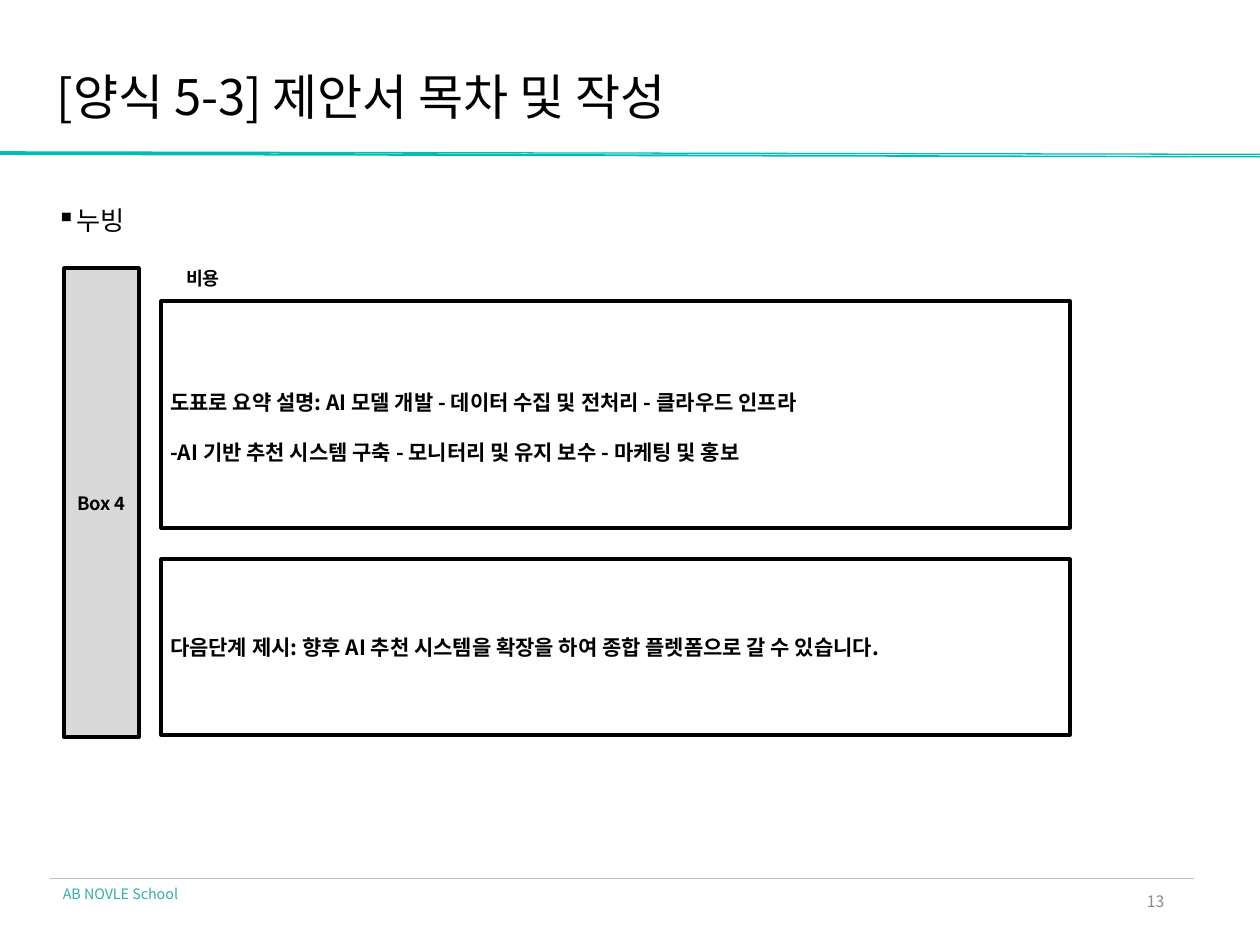
from dataclasses import dataclass

from lxml import etree
from pptx import Presentation
from pptx.dml.color import RGBColor
from pptx.enum.shapes import MSO_CONNECTOR, MSO_SHAPE
from pptx.enum.text import MSO_ANCHOR, PP_ALIGN
from pptx.oxml.ns import qn
from pptx.util import Inches, Pt

LEFT, MID, RIGHT = PP_ALIGN.LEFT, PP_ALIGN.CENTER, PP_ALIGN.RIGHT
TOP, CENTER = MSO_ANCHOR.TOP, MSO_ANCHOR.MIDDLE
RECT, LINE = MSO_SHAPE.RECTANGLE, MSO_CONNECTOR.STRAIGHT

FONT = "Noto Sans CJK KR"
BLACK, TEAL = "000000", "01BCB6"
COLS, ROWS = 1000, 750  # slide grid
CELL = Inches(10) // COLS
NONE, SLIM, WIDE = (0, 0), (7, 4), (10, 5)  # text insets in cells


@dataclass
class Item:
    """A text area or framed box, placed on the slide grid."""
    area: tuple[int, int, int, int]
    text: str
    size: float
    color: str = BLACK
    bold: bool = False
    align: int = LEFT
    anchor: int = TOP
    inset: tuple[int, int] = WIDE
    space: float = 1
    mark: str = ""
    frame: bool = False
    fill: str = ""


def rgb(code: str) -> RGBColor:
    return RGBColor.from_string(code)


def put(slide, item: Item) -> None:
    """Draw one item with its text."""
    area = [n * CELL for n in item.area]
    if item.frame:
        shape = slide.shapes.add_shape(RECT, *area)
        shape.shadow.inherit = False
        shape.line.color.rgb = rgb(BLACK)
        shape.line.width = Pt(2.25)
        if item.fill:
            shape.fill.solid()
            shape.fill.fore_color.rgb = rgb(item.fill)
        else:
            shape.fill.background()
    else:
        shape = slide.shapes.add_textbox(*area)
    frame = shape.text_frame
    frame.word_wrap = True
    frame.vertical_anchor = item.anchor
    side, edge = (n * CELL for n in item.inset)
    frame.margin_left = frame.margin_right = side
    frame.margin_top = frame.margin_bottom = edge
    para = frame.paragraphs[0]
    para.text = item.text
    para.alignment = item.align
    para.line_spacing = item.space
    props = para._p.get_or_add_pPr()
    if item.mark:
        props.set("marL", "0")
        props.set("indent", str(-15 * CELL))
        etree.SubElement(props, qn("a:buChar"), char=item.mark)
    font = para.font
    font.name, font.size, font.bold = FONT, Pt(item.size), item.bold
    font.color.rgb = rgb(item.color)
    etree.SubElement(props.find(qn("a:defRPr")), qn("a:ea"), typeface=FONT)


def band(slide) -> None:
    """Draw the two slanted strips under the title."""
    strips = [
        [(0, 121), (0, 123), (COLS, 125), (COLS, 124)],
        [(0, 120), (0, 121), (COLS, 123), (COLS, 122)],
    ]
    pen = slide.shapes.build_freeform(*strips[0][0], scale=CELL)
    for pos, strip in enumerate(strips):
        if pos:
            pen.move_to(*strip[0])
        pen.add_line_segments(strip[1:], close=True)
    shape = pen.convert_to_shape()
    shape.shadow.inherit = False
    shape.fill.solid()
    shape.fill.fore_color.rgb = rgb(TEAL)
    shape.line.fill.background()


def rule(slide, left: int, right: int, row: int) -> None:
    """Draw the thin footer line."""
    line = slide.shapes.add_connector(
        LINE, left * CELL, row * CELL, right * CELL, row * CELL)
    line.line.color.rgb = rgb("BEBEBE")
    line.line.width = Pt(0.5)
    etree.SubElement(line._element.spPr, qn("a:effectLst"))


def panel(top: int, high: int, text: str, space: float = 1) -> Item:
    """Describe a framed content box in the right column."""
    return Item((128, top, 721, high), text, 12, bold=True, anchor=CENTER,
                inset=SLIM, space=space, frame=True)


ITEMS = [
    # Footer
    Item((706, 695, 225, 40), "13", 9, "8C8C8C", align=RIGHT,
         anchor=CENTER, inset=SLIM),
    Item((40, 698, 129, 24), "AB NOVLE School", 8.2, "34AEAA"),
    # Title and topic
    Item((45, 53, 903, 47), "[양식 5-3] 제안서 목차 및 작성", 28,
         anchor=CENTER, inset=NONE),
    Item((45, 162, 911, 25), "누빙", 15, inset=NONE, mark="▪"),
    # Side label and content
    Item((51, 213, 59, 372), "Box 4", 10.5, bold=True, align=MID,
         anchor=CENTER, inset=SLIM, frame=True, fill="D9D9D9"),
    panel(239, 180, "도표로 요약 설명: AI 모델 개발 - 데이터 수집 및 전처리 - 클라우드 인프라\n"
          "-AI 기반 추천 시스템 구축 - 모니터리 및 유지 보수 - 마케팅 및 홍보", 2),
    panel(444, 139, "다음단계 제시: 향후 AI 추천 시스템을 확장을 하여 종합 플렛폼으로 갈 수 있습니다."),
    Item((138, 207, 254, 28), "비용", 10.5, bold=True),
]


def main() -> None:
    deck = Presentation()
    deck.slide_width, deck.slide_height = COLS * CELL, ROWS * CELL
    slide = deck.slides.add_slide(deck.slide_layouts[6])
    band(slide)
    rule(slide, 40, 948, 697)
    for item in ITEMS:
        put(slide, item)
    deck.save("out.pptx")


if __name__ == "__main__":
    main()
